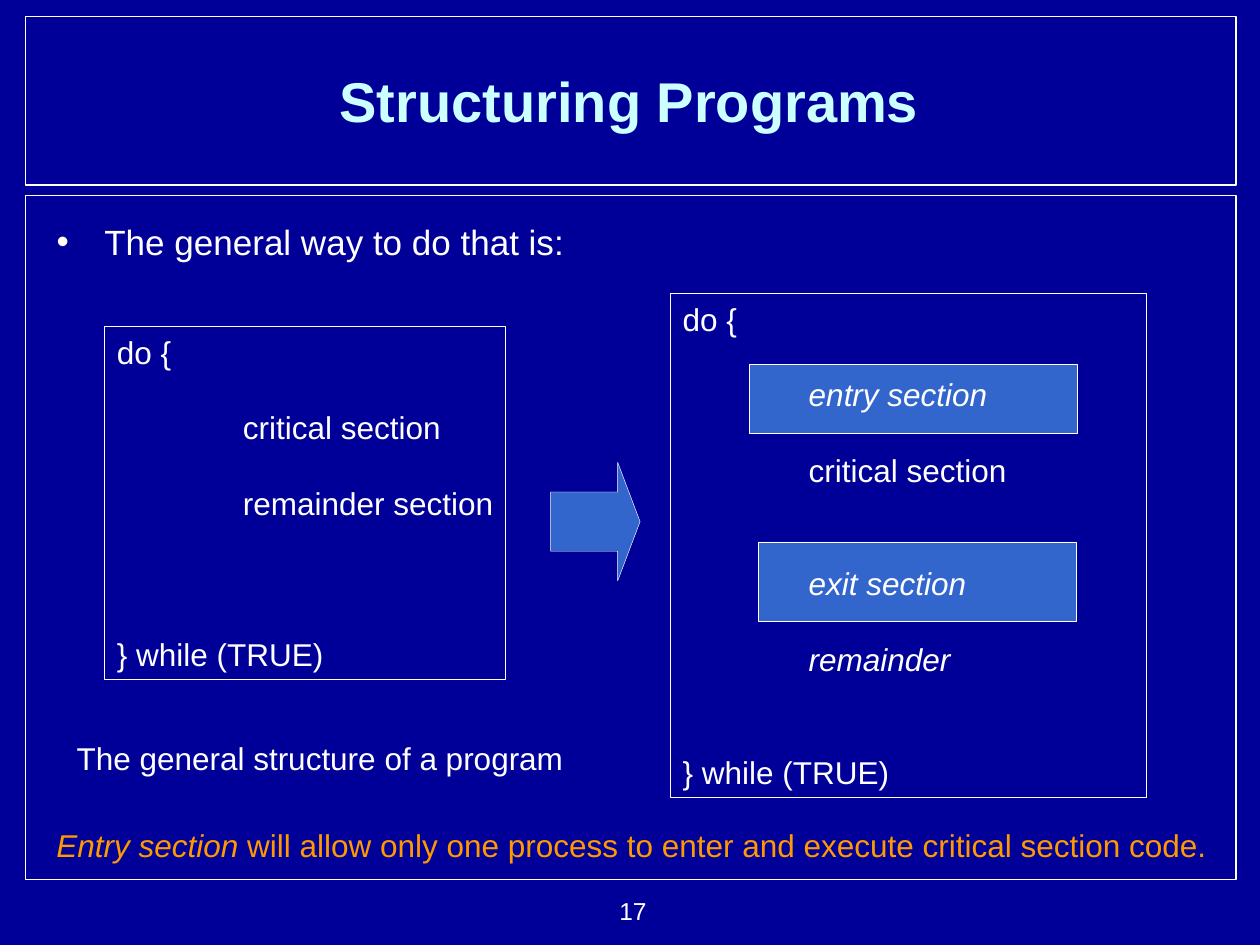
from lxml.etree import SubElement
from pptx import Presentation
from pptx.dml.color import RGBColor
from pptx.enum.shapes import MSO_SHAPE
from pptx.enum.text import MSO_ANCHOR, PP_ALIGN
from pptx.oxml.ns import qn
from pptx.util import Inches, Pt

COLORS = {"back": "000099", "white": "FFFFFF", "title": "CCFFFF",
          "block": "3366CC", "note": "FF9900"}
LINE = 21.6


def rgb(name):
    """Return the named colour."""
    return RGBColor.from_string(COLORS[name])


def add_block(s, kind, box, fill=None, width=0.25):
    """Add a white-outlined shape, filled if a colour is given."""
    sp = s.shapes.add_shape(kind, *map(Inches, box))
    sp.shadow.inherit = False
    if fill:
        sp.fill.solid()
        sp.fill.fore_color.rgb = rgb(fill)
    else:
        sp.fill.background()
    sp.line.color.rgb = rgb("white")
    sp.line.width = Pt(width)
    return sp


def add_run(p, text, size=18, color="white", bold=False, italic=False):
    """Add one formatted run to a paragraph."""
    r = p.add_run()
    r.text = text
    r.font.name = "Arial"
    r.font.size = Pt(size)
    r.font.bold = bold
    r.font.italic = italic
    r.font.color.rgb = rgb(color)


def add_text(s, box, runs, align=PP_ALIGN.LEFT, anchor=MSO_ANCHOR.TOP, wrap=True):
    """Add a one-paragraph text box from (text, format) runs."""
    tf = s.shapes.add_textbox(*map(Inches, box)).text_frame
    tf.word_wrap = wrap
    tf.vertical_anchor = anchor
    p = tf.paragraphs[0]
    p.alignment = align
    for text, style in runs:
        add_run(p, text, **style)
    return p


def add_bullet(p, indent):
    """Give a paragraph a white bullet with a hanging indent."""
    pPr = p._p.get_or_add_pPr()
    pPr.set("marL", str(Inches(indent)))
    pPr.set("indent", str(-Inches(indent)))
    color = SubElement(pPr, qn("a:buClr"))
    SubElement(color, qn("a:srgbClr"), val=COLORS["white"])
    SubElement(pPr, qn("a:buFont"), typeface="Arial")
    SubElement(pPr, qn("a:buChar"), char="•")


def add_code(s, box, lines, wrap=True):
    """Add a framed listing from (text, gap in lines, italic) entries."""
    tf = add_block(s, MSO_SHAPE.RECTANGLE, box).text_frame
    tf.word_wrap = wrap
    tf.vertical_anchor = MSO_ANCHOR.TOP
    for i, (text, gap, italic) in enumerate(lines):
        p = tf.add_paragraph() if i else tf.paragraphs[0]
        tabs = SubElement(p._p.get_or_add_pPr(), qn("a:tabLst"))
        SubElement(tabs, qn("a:tab"), pos=str(Inches(1)), algn="l")
        p.alignment = PP_ALIGN.LEFT
        p.line_spacing = Pt(LINE)
        if gap:
            p.space_before = Pt(gap * LINE)
        add_run(p, text, italic=italic)


def main():
    """Build and save the slide."""
    prs = Presentation()
    prs.slide_width, prs.slide_height = Inches(10), Inches(7.5)
    s = prs.slides.add_slide(prs.slide_layouts[6])
    s.background.fill.solid()
    s.background.fill.fore_color.rgb = rgb("back")

    for top, height in ((0.13, 1.34), (1.55, 5.43)):
        add_block(s, MSO_SHAPE.RECTANGLE, (0.2, top, 9.61, height), width=0.75)
    add_text(s, (4.19, 7.06, 1.04, 0.34), [("17", {"size": 14})], PP_ALIGN.RIGHT)
    for box in ((5.95, 2.89, 2.6, 0.55), (6.02, 4.3, 2.52, 0.63)):
        add_block(s, MSO_SHAPE.RECTANGLE, box, "block")

    add_text(s, (0.35, 0.17, 9.29, 1.25),
             [("Structuring Programs", {"size": 32, "color": "title", "bold": True})],
             PP_ALIGN.CENTER, MSO_ANCHOR.MIDDLE)
    p = add_text(s, (0.35, 1.7, 9.29, 0.63),
                 [("The general way to do that is:", {"size": 20})])
    add_bullet(p, 0.38)

    add_code(s, (0.83, 2.59, 3.18, 2.8), [
        ("do {", 0, False),
        ("\tcritical section", 1, False),
        ("\tremainder section", 1, False),
        ("} while (TRUE)", 3, False),
    ], wrap=False)
    add_text(s, (0.51, 5.82, 4.06, 0.4),
             [("The general structure of a program", {})], wrap=False)
    arrow = add_block(s, MSO_SHAPE.RIGHT_ARROW, (4.37, 3.67, 0.71, 0.94), "block")
    arrow.adjustments[0], arrow.adjustments[1] = 0.5, 0.25
    add_code(s, (5.32, 2.33, 3.78, 4), [
        ("do {", 0, False),
        ("\tentry section", 1, True),
        ("\tcritical section", 1, False),
        ("\texit section", 2, True),
        ("\tremainder", 1, True),
        ("} while (TRUE)", 2, False),
    ])
    add_text(s, (0.35, 6.51, 9.4, 0.4), [
        ("Entry section", {"color": "note", "italic": True}),
        (" will allow only one process to enter and execute critical section code.",
         {"color": "note"}),
    ])
    prs.save("out.pptx")


if __name__ == "__main__":
    main()
